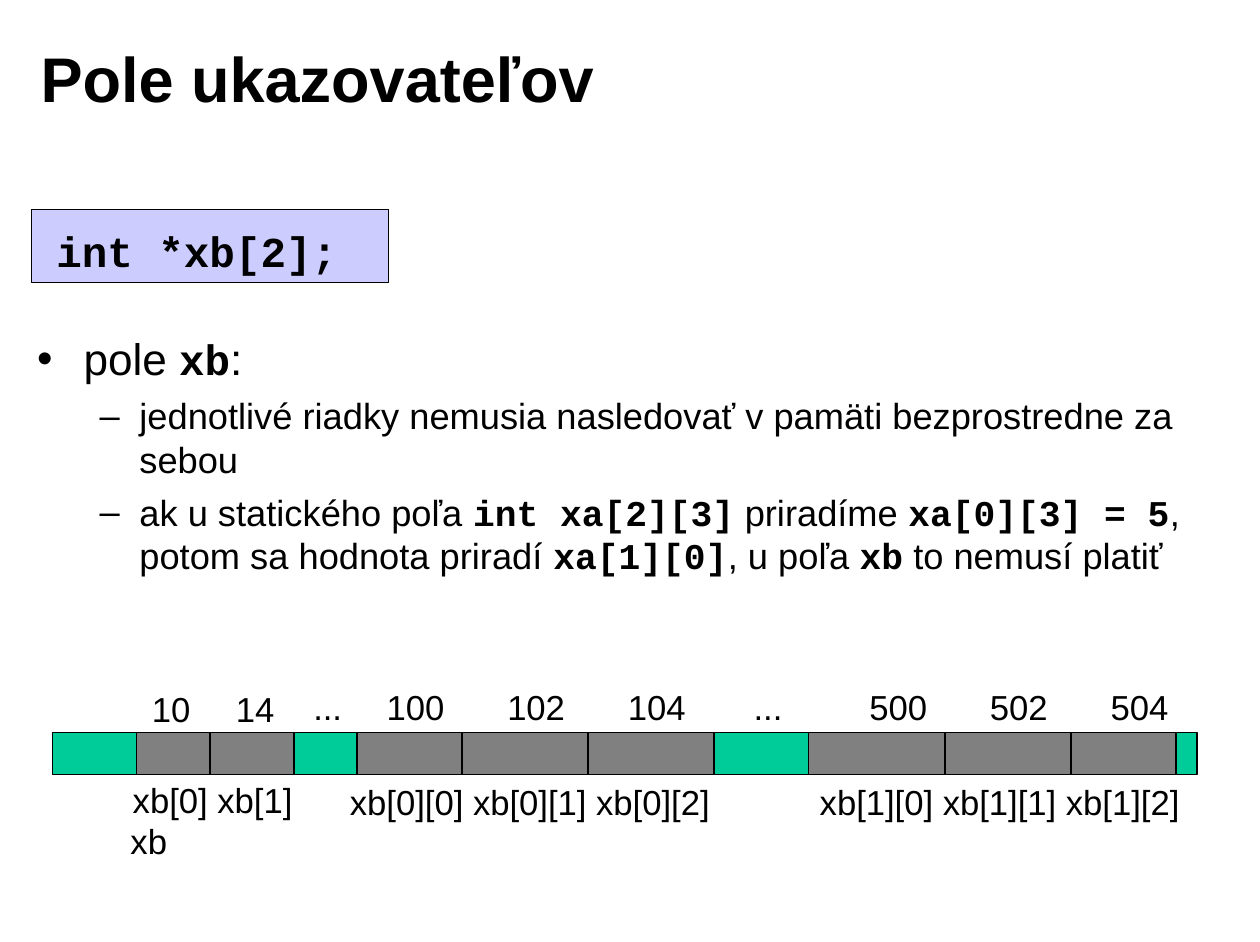
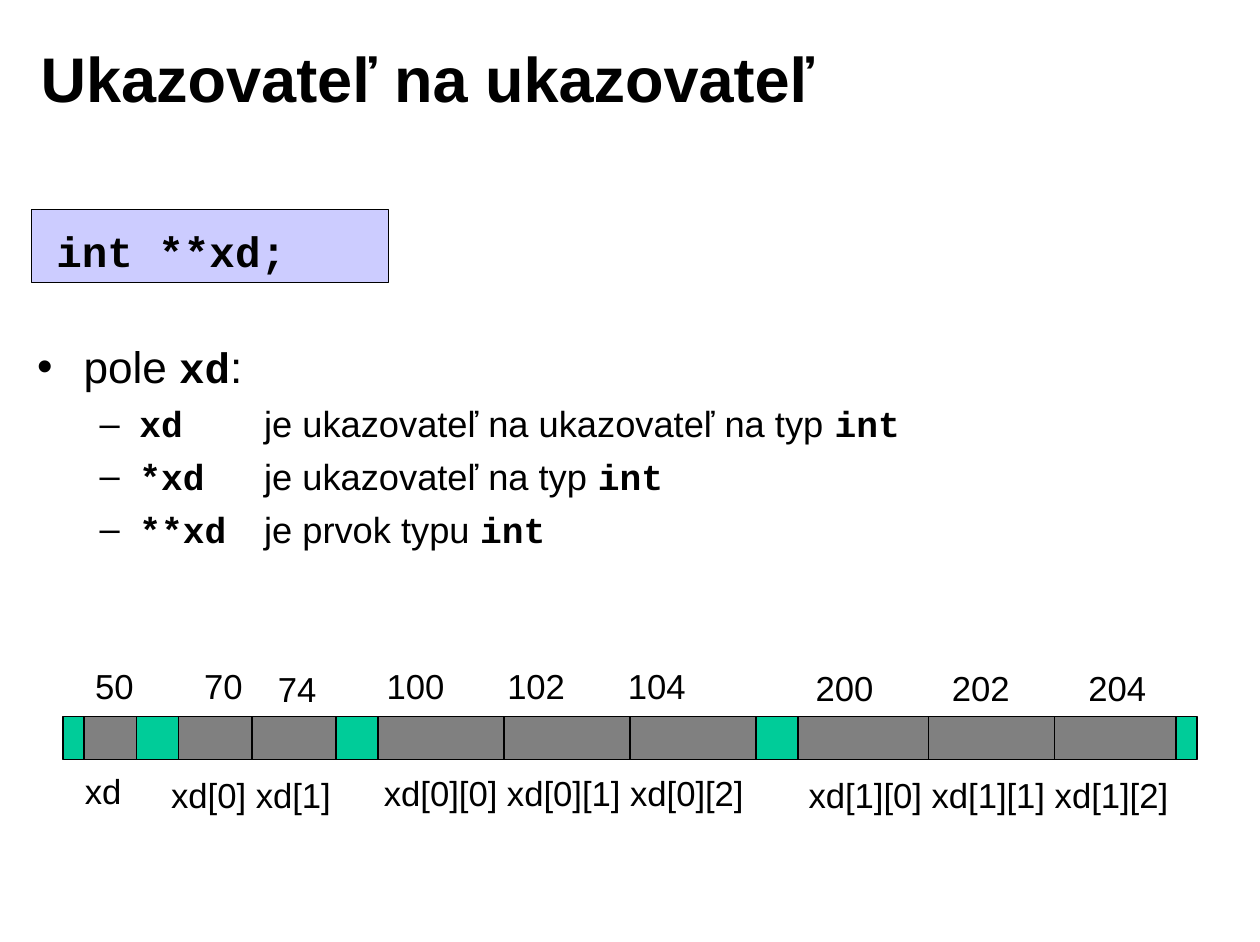
from dataclasses import dataclass

from lxml.etree import SubElement
from pptx import Presentation
from pptx.dml.color import RGBColor
from pptx.enum.shapes import MSO_CONNECTOR, MSO_SHAPE
from pptx.enum.text import MSO_ANCHOR, MSO_AUTO_SIZE, PP_ALIGN
from pptx.oxml.ns import qn
from pptx.shapes.base import BaseShape
from pptx.slide import Slide
from pptx.text.text import TextFrame, _Paragraph, _Run
from pptx.util import Cm, Pt

BLACK = RGBColor(0x00, 0x00, 0x00)
GRAY = RGBColor(0x80, 0x80, 0x80)
GREEN = RGBColor(0x00, 0xCC, 0x99)
LILAC = RGBColor(0xCC, 0xCC, 0xFF)

SANS, MONO = "Arial", "Courier New"
THIN = Pt(0.75)
WIDE, HIGH = Cm(28.19), Cm(21.08)
UNIT = WIDE / 120  # grid step of the memory strip
STRIP = Cm(0.95)


@dataclass(frozen=True)
class Level:
    mark: str
    left: float
    hang: float
    size: float
    code: float
    gap: float


LEVELS = (
    Level("•", 1.04, 1.04, 28, 27, 7),
    Level("–", 2.29, 0.89, 23, 23, 5.8),
)


@dataclass(frozen=True)
class Item:
    """One bullet; backticks enclose code."""
    text: str
    level: int = 1


@dataclass(frozen=True)
class Band:
    """A stretch of memory, in grid steps."""
    start: int
    stop: int
    fill: RGBColor


@dataclass(frozen=True)
class Label:
    text: str
    left: float
    top: float
    wide: float


@dataclass(frozen=True)
class Page:
    title: str
    code: str
    top: float
    high: float
    items: list[Item]
    strip: float
    bands: list[Band]
    cuts: list[float]
    labels: list[Label]


def spread(texts: str, left: float, top: float, step: float, wide: float) -> list[Label]:
    """Labels at equal steps along one line."""
    return [Label(text, left + n * step, top, wide)
            for n, text in enumerate(texts.split())]


def style(run: _Run, size: float, name: str = SANS, bold: bool = False) -> None:
    font = run.font
    font.name, font.size, font.bold = name, Pt(size), bold
    font.color.rgb = BLACK


def inset(frame: TextFrame, side: float, edge: float) -> None:
    frame.margin_left = frame.margin_right = Cm(side)
    frame.margin_top = frame.margin_bottom = Cm(edge)


def paint(shape: BaseShape, fill: RGBColor) -> None:
    shape.shadow.inherit = False
    shape.fill.solid()
    shape.fill.fore_color.rgb = fill
    shape.line.color.rgb = BLACK
    shape.line.width = THIN


def add_title(slide: Slide, text: str) -> None:
    frame = slide.shapes.add_textbox(Cm(0.63), Cm(0.43), Cm(22.63), Cm(2.59)).text_frame
    frame.word_wrap = True
    frame.vertical_anchor = MSO_ANCHOR.MIDDLE
    inset(frame, 0.28, 0.15)
    frame.text = text
    style(frame.paragraphs[0].runs[0], 40, bold=True)


def add_code(slide: Slide, text: str) -> None:
    box = slide.shapes.add_shape(MSO_SHAPE.RECTANGLE, Cm(0.71), Cm(4.68), Cm(7.98), Cm(1.65))
    paint(box, LILAC)
    frame = box.text_frame
    frame.word_wrap = False
    frame.vertical_anchor = MSO_ANCHOR.TOP
    frame.margin_left, frame.margin_top = Cm(0.55), Cm(0.36)
    frame.text = text
    line = frame.paragraphs[0]
    line.alignment = PP_ALIGN.LEFT
    style(line.runs[0], 27, MONO, True)


def mark(line: _Paragraph, level: Level) -> None:
    """Give a paragraph its bullet, hanging indent and tab stop."""
    props = line._p.get_or_add_pPr()
    props.set("marL", str(Cm(level.left)))
    props.set("indent", str(-Cm(level.hang)))
    SubElement(props, qn("a:buFont"), typeface=SANS)
    SubElement(props, qn("a:buChar"), char=level.mark)
    tabs = SubElement(props, qn("a:tabLst"))
    SubElement(tabs, qn("a:tab"), pos=str(Cm(5.08)), algn="l")


def add_items(slide: Slide, page: Page) -> None:
    frame = slide.shapes.add_textbox(
        Cm(0.55), Cm(page.top), Cm(27.08), Cm(page.high)).text_frame
    frame.word_wrap = True
    inset(frame, 0.28, 0.15)
    for n, item in enumerate(page.items):
        line = frame.add_paragraph() if n else frame.paragraphs[0]
        level = LEVELS[item.level]
        line.level = item.level
        mark(line, level)
        if n:
            line.space_before = Pt(level.gap)
        for k, part in enumerate(item.text.split("`")):
            if not part:
                continue
            run = line.add_run()
            run.text = part
            if k % 2:
                style(run, level.code, MONO, True)
            else:
                style(run, level.size)


def add_strip(slide: Slide, page: Page) -> None:
    top = Cm(page.strip)
    for band in page.bands:
        cell = slide.shapes.add_shape(
            MSO_SHAPE.RECTANGLE, round(band.start * UNIT), top,
            round((band.stop - band.start) * UNIT), STRIP)
        paint(cell, band.fill)
    for cut in page.cuts:
        x = round(cut * UNIT)
        rule = slide.shapes.add_connector(MSO_CONNECTOR.STRAIGHT, x, top, x, top + STRIP)
        rule.line.color.rgb = BLACK
        rule.line.width = THIN
        SubElement(rule._element.spPr, qn("a:effectLst"))


def add_label(slide: Slide, label: Label) -> None:
    frame = slide.shapes.add_textbox(
        Cm(label.left), Cm(label.top), Cm(label.wide), Cm(1.19)).text_frame
    frame.word_wrap = False
    frame.auto_size = MSO_AUTO_SIZE.SHAPE_TO_FIT_TEXT
    frame.text = label.text
    style(frame.paragraphs[0].runs[0], 22)


ARRAY = Page(
    title="Pole ukazovateľov",
    code="int *xb[2];",
    top=7.27,
    high=6.32,
    items=[
        Item("pole `xb`:", 0),
        Item("jednotlivé riadky nemusia nasledovať v pamäti bezprostredne za sebou"),
        Item("ak u statického poľa `int xa[2][3]` priradíme `xa[0][3] = 5`, potom sa "
             "hodnota priradí `xa[1][0]`, u poľa `xb` to nemusí platiť"),
    ],
    strip=16.39,
    bands=[
        Band(13, 112, GRAY),
        Band(5, 13, GREEN),
        Band(28, 34, GREEN),
        Band(68, 77, GREEN),
        Band(112, 114, GREEN),
    ],
    cuts=[20, 44, 56, 90, 102],
    labels=[
        *spread("10 14", 3.15, 15.26, 1.88, 1.4),
        *spread("... ...", 6.76, 15.23, 9.85, 1.2),
        *spread("100 102 104", 8.4, 15.23, 2.7, 1.85),
        *spread("500 502 504", 19.2, 15.23, 2.7, 1.85),
        Label("xb[0] xb[1]", 2.72, 17.31, 4.15),
        Label("xb[0][0] xb[0][1] xb[0][2]", 7.58, 17.36, 8.65),
        Label("xb[1][0] xb[1][1] xb[1][2]", 18.09, 17.36, 8.65),
        Label("xb", 2.67, 18.22, 1.35),
    ],
)

DOUBLE = Page(
    title="Ukazovateľ na ukazovateľ",
    code="int **xd;",
    top=7.45,
    high=5.18,
    items=[
        Item("pole `xd`:", 0),
        Item("`xd\t`je ukazovateľ na ukazovateľ na typ `int`"),
        Item("`*xd\t`je ukazovateľ na typ `int`"),
        Item("`**xd\t`je prvok typu `int`"),
    ],
    strip=16.04,
    bands=[
        Band(6, 8, GREEN),
        Band(8, 13, GRAY),
        Band(13, 17, GREEN),
        Band(17, 32, GRAY),
        Band(32, 36, GREEN),
        Band(36, 72, GRAY),
        Band(72, 76, GREEN),
        Band(76, 112, GRAY),
        Band(112, 114, GREEN),
    ],
    cuts=[24, 48, 60, 88.4, 100.4],
    labels=[
        Label("50", 1.88, 14.76, 1.4),
        Label("70", 4.32, 14.76, 1.4),
        Label("74", 5.97, 14.82, 1.4),
        *spread("100 102 104", 8.4, 14.76, 2.7, 1.85),
        *spread("200 202 204", 18, 14.79, 3.05, 1.85),
        Label("xd", 1.65, 17.1, 1.35),
        Label("xd[0] xd[1]", 3.58, 17.2, 4.15),
        Label("xd[0][0] xd[0][1] xd[0][2]", 8.34, 17.15, 8.65),
        Label("xd[1][0] xd[1][1] xd[1][2]", 17.84, 17.2, 8.65),
    ],
)


def main() -> None:
    deck = Presentation()
    deck.slide_width, deck.slide_height = WIDE, HIGH
    for page in (ARRAY, DOUBLE):
        slide = deck.slides.add_slide(deck.slide_layouts[6])
        add_title(slide, page.title)
        add_code(slide, page.code)
        add_items(slide, page)
        add_strip(slide, page)
        for label in page.labels:
            add_label(slide, label)
    deck.save("out.pptx")


if __name__ == "__main__":
    main()
